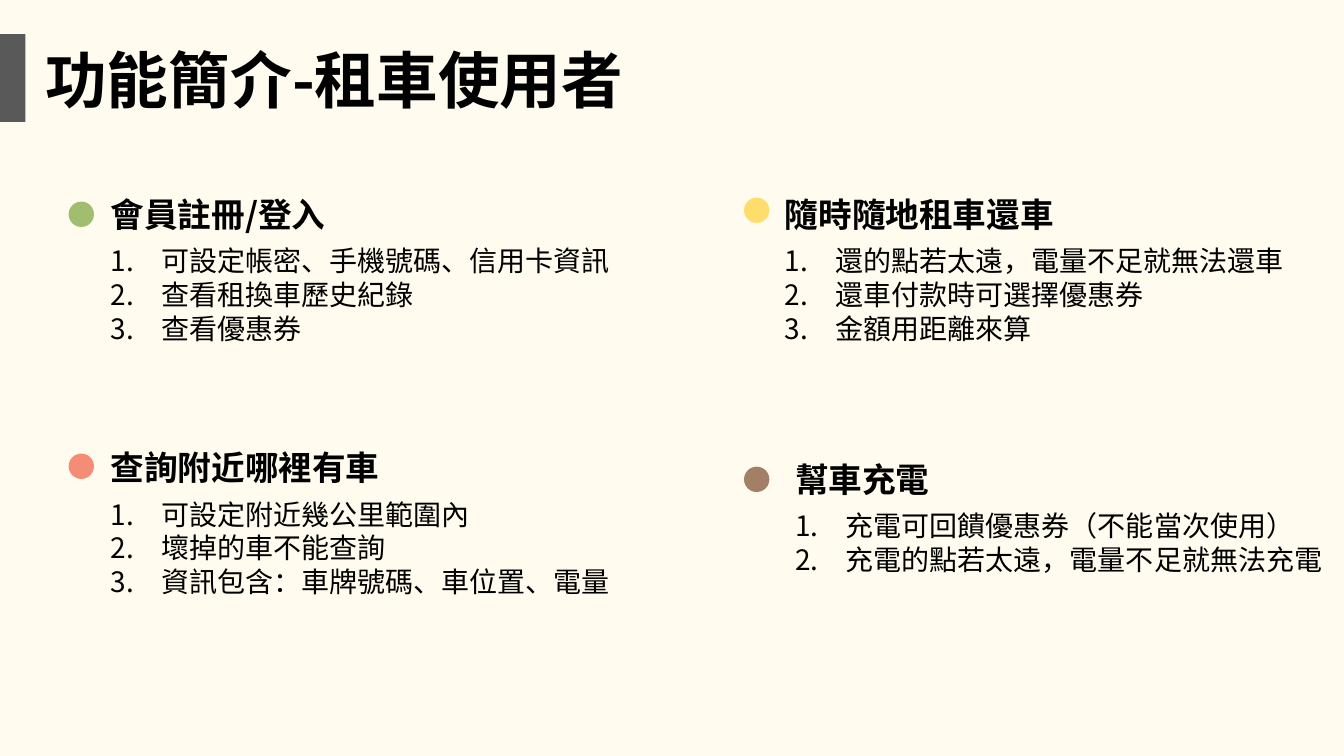
"""Build the slide that introduces the features for car renters."""
import dataclasses

import lxml.etree
import pptx
import pptx.dml.color
import pptx.enum.shapes
import pptx.enum.text
import pptx.oxml.ns
import pptx.shapes.base
import pptx.slide
import pptx.text.text
import pptx.util

Cm = pptx.util.Cm
MSO_SHAPE = pptx.enum.shapes.MSO_SHAPE
FONT = "Noto Sans CJK TC"
COLORS = {
    "background": "FFFBEF",
    "text": "000000",
    "bar": "595959",
    "green": "A1BD70",
    "red": "F58D76",
    "yellow": "FFDD6C",
    "brown": "A37F67",
}
DOT_SIZE = 0.64
HEADING_HEIGHT = 1.27
ROW_HEIGHT = 0.86
LIST_PADDING = 0.25
NUMBER_INDENT = 1.27


@dataclasses.dataclass(frozen=True)
class Feature:
    """A dotted heading with its numbered details, measured in centimetres."""

    heading: str
    details: tuple[str, ...]
    color: str
    left: float
    top: float
    heading_width: float
    list_width: float
    dot_left: float
    dot_top: float


FEATURES = (
    Feature("會員註冊/登入",
            ("可設定帳密、手機號碼、信用卡資訊", "查看租換車歷史紀錄", "查看優惠券"),
            "green", 2.54, 4.75, 7.44, 14.4, 1.73, 5.08),
    Feature("查詢附近哪裡有車",
            ("可設定附近幾公里範圍內", "壞掉的車不能查詢", "資訊包含：車牌號碼、車位置、電量"),
            "red", 2.54, 11.13, 10.59, 14.4, 1.73, 11.43),
    Feature("隨時隨地租車還車",
            ("還的點若太遠，電量不足就無法還車", "還車付款時可選擇優惠券", "金額用距離來算"),
            "yellow", 19.53, 4.75, 9.35, 14.33, 18.75, 4.98),
    Feature("幫車充電",
            ("充電可回饋優惠券（不能當次使用）", "充電的點若太遠，電量不足就無法充電"),
            "brown", 19.79, 11.43, 3.94, 14.07, 18.75, 11.76),
)


def rgb(color: str) -> pptx.dml.color.RGBColor:
    """Return the named colour."""
    return pptx.dml.color.RGBColor.from_string(COLORS[color])


def add_element(parent: lxml.etree._Element, tag: str, **attributes: str) -> lxml.etree._Element:
    """Append a DrawingML element to its parent."""
    return lxml.etree.SubElement(parent, pptx.oxml.ns.qn(tag), attributes)


def add_run(paragraph: pptx.text.text._Paragraph, text: str, size: int, bold: bool) -> None:
    """Add one run in the slide's typeface, for Latin and Chinese alike."""
    run = paragraph.add_run()
    run.text = text
    run.font.name = FONT
    run.font.size = pptx.util.Pt(size)
    run.font.bold = bold
    run.font.color.rgb = rgb("text")
    add_element(run._r.get_or_add_rPr(), "a:ea", typeface=FONT)


def number(paragraph: pptx.text.text._Paragraph) -> None:
    """Give a paragraph a hanging automatic number."""
    properties = paragraph._p.get_or_add_pPr()
    properties.set("marL", str(Cm(NUMBER_INDENT)))
    properties.set("indent", str(-Cm(NUMBER_INDENT)))
    bullet_color = add_element(properties, "a:buClr")
    add_element(bullet_color, "a:srgbClr", val=COLORS["text"])
    add_element(properties, "a:buFont", typeface=FONT)
    add_element(properties, "a:buAutoNum", type="arabicPeriod")


def write(box: pptx.shapes.base.BaseShape, lines: tuple[str, ...], size: int,
          bold: bool = False, numbered: bool = False) -> None:
    """Fill a text shape with left-aligned lines."""
    frame = box.text_frame
    frame.word_wrap = True
    frame.auto_size = pptx.enum.text.MSO_AUTO_SIZE.SHAPE_TO_FIT_TEXT
    frame.vertical_anchor = pptx.enum.text.MSO_ANCHOR.TOP
    for index, line in enumerate(lines):
        paragraph = frame.add_paragraph() if index else frame.paragraphs[0]
        paragraph.alignment = pptx.enum.text.PP_ALIGN.LEFT
        if numbered:
            number(paragraph)
        add_run(paragraph, line, size, bold)


def add_solid(slide: pptx.slide.Slide, kind: MSO_SHAPE, color: str,
              left: float, top: float, width: float, height: float) -> None:
    """Add a plain filled shape without an outline."""
    solid = slide.shapes.add_shape(kind, Cm(left), Cm(top), Cm(width), Cm(height))
    solid.shadow.inherit = False
    solid.fill.solid()
    solid.fill.fore_color.rgb = rgb(color)
    solid.line.fill.background()


def add_title(slide: pptx.slide.Slide, text: str) -> None:
    """Place and format the title placeholder."""
    title = slide.shapes.title
    title.left, title.top, title.width, title.height = Cm(0.89), Cm(0.94), Cm(16.05), Cm(2.13)
    write(title, (text,), 44, bold=True)


def add_feature(slide: pptx.slide.Slide, feature: Feature) -> None:
    """Draw a feature's dot, heading and numbered details."""
    add_solid(slide, MSO_SHAPE.OVAL, feature.color,
              feature.dot_left, feature.dot_top, DOT_SIZE, DOT_SIZE)
    heading = slide.shapes.add_textbox(
        Cm(feature.left), Cm(feature.top), Cm(feature.heading_width), Cm(HEADING_HEIGHT))
    write(heading, (feature.heading,), 24, bold=True)
    list_height = ROW_HEIGHT * len(feature.details) + LIST_PADDING
    details = slide.shapes.add_textbox(
        Cm(feature.left), Cm(feature.top + HEADING_HEIGHT),
        Cm(feature.list_width), Cm(list_height))
    write(details, feature.details, 20, numbered=True)


def main() -> None:
    """Build and save the presentation."""
    presentation = pptx.Presentation()
    presentation.slide_width, presentation.slide_height = Cm(33.87), Cm(19.05)
    slide = presentation.slides.add_slide(presentation.slide_layouts[5])
    slide.background.fill.solid()
    slide.background.fill.fore_color.rgb = rgb("background")
    add_solid(slide, MSO_SHAPE.RECTANGLE, "bar", 0, 0.86, 0.64, 2.21)
    add_title(slide, "功能簡介-租車使用者")
    for feature in FEATURES:
        add_feature(slide, feature)
    presentation.save("out.pptx")


if __name__ == "__main__":
    main()
